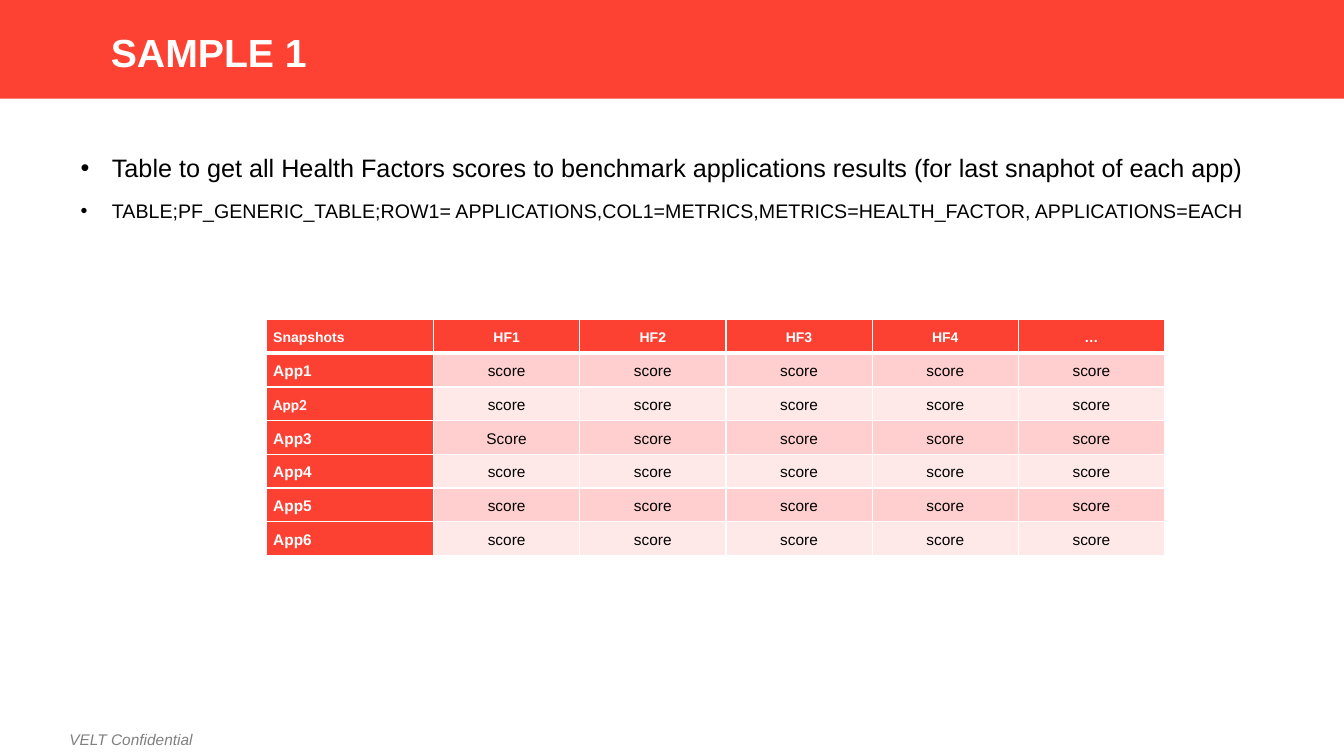
"""Build the sample slide with a table of health factor scores per application."""
from dataclasses import dataclass

from lxml.etree import SubElement
from pptx import Presentation
from pptx.dml.color import RGBColor
from pptx.enum.shapes import MSO_SHAPE
from pptx.enum.text import MSO_ANCHOR, MSO_AUTO_SIZE, PP_ALIGN
from pptx.oxml.ns import qn
from pptx.util import Inches, Pt


@dataclass(frozen=True)
class Theme:
    font: str = "Arial"
    alt: str = "Calibri"
    band: str = "FD4133"
    head: str = "FC4132"
    odd: str = "FECFCE"
    even: str = "FEE9E8"
    white: str = "FFFFFF"
    black: str = "000000"
    gray: str = "808080"
    title: int = 28
    lead: int = 18
    code: int = 14
    cell: int = 11
    label: int = 10


def write(par, text, size, color, bold=False, font=Theme.font):
    run = par.add_run()
    run.text = text
    run.font.name = font
    run.font.size = Pt(size)
    run.font.bold = bold
    run.font.color.rgb = RGBColor.from_string(color)
    return run


def edge(cell, side, width):
    line = SubElement(cell._tc.get_or_add_tcPr(), qn(f"a:ln{side}"), w=str(Pt(width)))
    fill = SubElement(line, qn("a:solidFill"))
    SubElement(fill, qn("a:srgbClr"), val=Theme.white)


deck = Presentation()
deck.slide_width = Inches(13.33)
deck.slide_height = Inches(7.5)
slide = deck.slides.add_slide(deck.slide_layouts[1])
title, body = slide.placeholders

band = slide.shapes.add_shape(MSO_SHAPE.RECTANGLE, 0, 0, deck.slide_width, Inches(0.98))
band.shadow.inherit = False
band.fill.solid()
band.fill.fore_color.rgb = RGBColor.from_string(Theme.band)
band.line.fill.background()
title.element.addprevious(band.element)

foot = slide.shapes.add_textbox(Inches(0.59), Inches(7.19), Inches(1.47), Inches(0.29))
foot.text_frame.word_wrap = False
foot.text_frame.auto_size = MSO_AUTO_SIZE.SHAPE_TO_FIT_TEXT
note = write(foot.text_frame.paragraphs[0], "VELT Confidential", Theme.cell, Theme.gray)
note.font.italic = True
title.element.addprevious(foot.element)

title.left, title.top = Inches(1), Inches(0.28)
title.width, title.height = Inches(11.5), Inches(0.44)
frame = title.text_frame
frame.auto_size = MSO_AUTO_SIZE.NONE
frame.vertical_anchor = MSO_ANCHOR.TOP
par = frame.paragraphs[0]
par.alignment = PP_ALIGN.LEFT
par.line_spacing = 0.9
write(par, "SAMPLE 1", Theme.title, Theme.white, True)

body.left, body.top = Inches(0.7), Inches(1.46)
body.width, body.height = Inches(11.96), Inches(4.76)
frame = body.text_frame
frame.auto_size = MSO_AUTO_SIZE.NONE
points = [
    ("Table to get all Health Factors scores to benchmark applications results "
     "(for last snaphot of each app)", Theme.lead),
    ("TABLE;PF_GENERIC_TABLE;ROW1= APPLICATIONS,COL1=METRICS,"
     "METRICS=HEALTH_FACTOR, APPLICATIONS=EACH", Theme.code),
]
for i, (text, size) in enumerate(points):
    par = frame.add_paragraph() if i else frame.paragraphs[0]
    par.space_before = Pt(12)
    props = par._p.get_or_add_pPr()
    props.set("marL", str(Inches(0.31)))
    props.set("indent", str(-Inches(0.31)))
    SubElement(props, qn("a:buFont"), typeface=Theme.font)
    SubElement(props, qn("a:buChar"), char="•")
    write(par, text, size, Theme.black)

heads = ["Snapshots", "HF1", "HF2", "HF3", "HF4", "…"]
rows = [heads] + [[f"App{n}"] + ["score"] * 5 for n in range(1, 7)]
rows[3][1] = "Score"
grid = slide.shapes.add_table(len(rows), len(heads), Inches(2.64), Inches(3.17),
                              Inches(8.92), Inches(2.34)).table
for c, col in enumerate(grid.columns):
    col.width = Inches(1.45 if c else 1.66)

for r, row in enumerate(rows):
    for c, text in enumerate(row):
        cell = grid.cell(r, c)
        cell.margin_left = cell.margin_right = Inches(0.07)
        cell.margin_top = cell.margin_bottom = 0
        cell.vertical_anchor = MSO_ANCHOR.MIDDLE
        for side in "LRTB":
            thick = (r, side) in [(0, "B"), (1, "T")]
            edge(cell, side, 3 if thick else 1)
        key = r == 0 or c == 0
        tint = Theme.head if key else Theme.odd if r % 2 else Theme.even
        cell.fill.solid()
        cell.fill.fore_color.rgb = RGBColor.from_string(tint)
        par = cell.text_frame.paragraphs[0]
        par.alignment = PP_ALIGN.CENTER if c else PP_ALIGN.LEFT
        par.line_spacing = 1.15
        write(par, text, Theme.cell if r else Theme.label,
              Theme.white if key else Theme.black, key,
              Theme.alt if text == "App2" else Theme.font)

deck.save("out.pptx")
